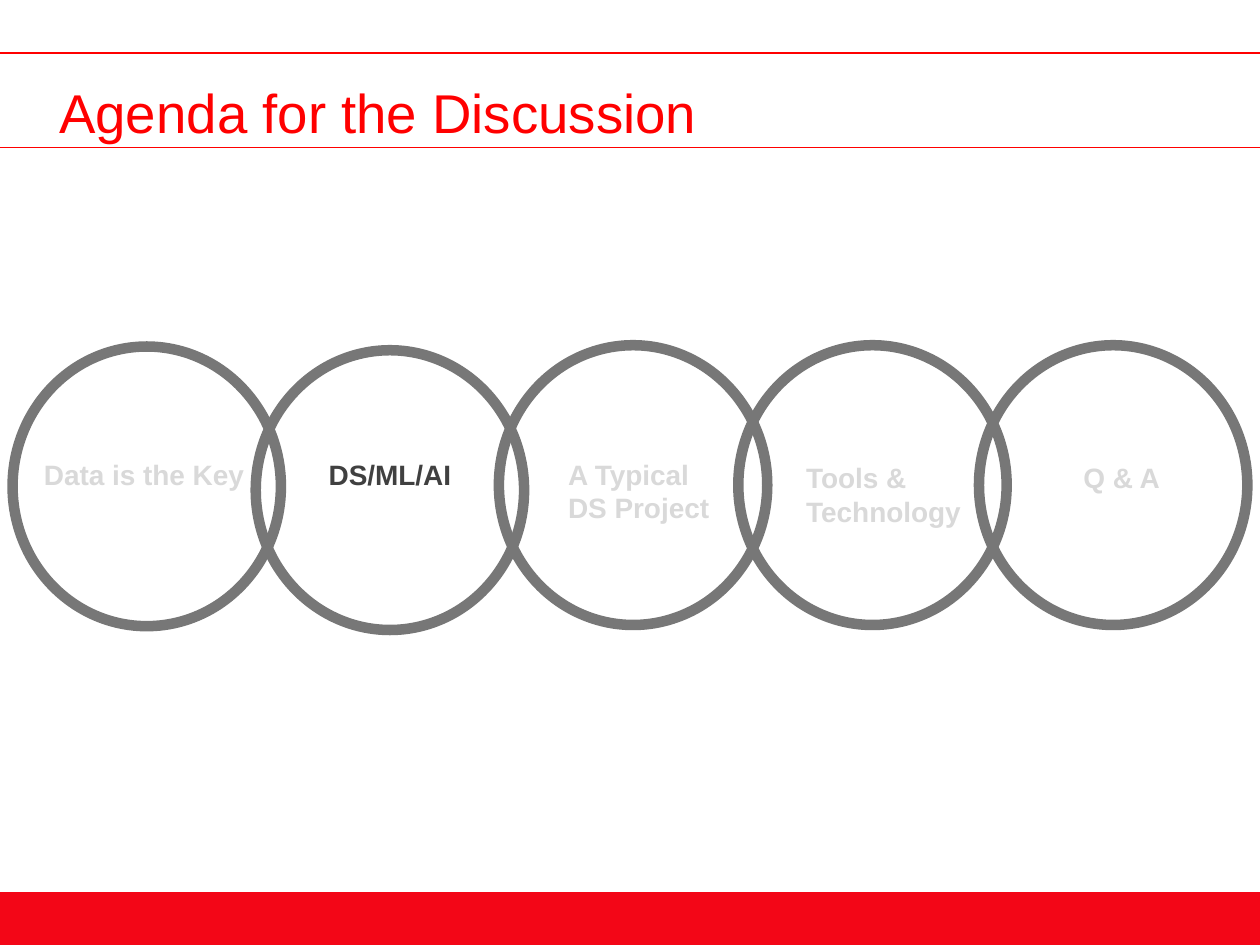
from lxml import etree
from pptx import Presentation
from pptx.dml.color import RGBColor
from pptx.enum import shapes, text
from pptx.oxml import ns
from pptx.util import Inches, Pt

COLUMNS, ROWS = 100, 75
RED, BAND_RED, RING_GREY = "FF0000", "F30617", "777777"
MUTED, ACTIVE = "D9D9D9", "404040"


def colour(value):
    return RGBColor.from_string(value)


class AgendaSlide:
    font = "Arial"

    def __init__(self, deck):
        self.slide = deck.slides.add_slide(deck.slide_layouts[6])
        self.column = deck.slide_width / COLUMNS
        self.row = deck.slide_height / ROWS

    def place(self, x, y, w, h):
        return (round(x * self.column), round(y * self.row),
                round(w * self.column), round(h * self.row))

    def band(self, *area):
        band = self.slide.shapes.add_shape(
            shapes.MSO_SHAPE.RECTANGLE, *self.place(*area))
        band.shadow.inherit = False
        band.fill.solid()
        band.fill.fore_color.rgb = colour(BAND_RED)
        band.line.fill.background()

    def ring(self, *area):
        ring = self.slide.shapes.add_shape(
            shapes.MSO_SHAPE.OVAL, *self.place(*area))
        ring.shadow.inherit = False
        ring.fill.background()
        ring.line.color.rgb = colour(RING_GREY)
        ring.line.width = Pt(6)

    def rule(self, y):
        left, top, width, _ = self.place(0, y, COLUMNS, 0)
        rule = self.slide.shapes.add_connector(
            shapes.MSO_CONNECTOR.STRAIGHT, left, top, left + width, top)
        rule.line.color.rgb = colour(RED)
        rule.line.width = Pt(1)
        etree.SubElement(rule._element.spPr, ns.qn("a:effectLst"))

    def words(self, area, lines, size, hue, bold=False, **frame_format):
        frame = self.slide.shapes.add_textbox(*self.place(*area)).text_frame
        for key, value in {"word_wrap": True, **frame_format}.items():
            setattr(frame, key, value)
        frame.text = lines
        for paragraph in frame.paragraphs:
            style = {"name": self.font, "size": Pt(size), "bold": bold}
            for run in paragraph.runs:
                for key, value in style.items():
                    setattr(run.font, key, value)
                run.font.color.rgb = colour(hue)


def main():
    deck = Presentation()
    deck.slide_width, deck.slide_height = Inches(10), Inches(7.5)
    agenda = AgendaSlide(deck)

    agenda.band(0, 70.8, COLUMNS, 4.2)
    agenda.words((4.7, 5.8, 90, 5), "Agenda for the Discussion", 31.2, RED,
                 margin_left=0, margin_top=Inches(0.05), margin_bottom=0)
    for y in (11.7, 4.2):
        agenda.rule(y)

    topics = [
        (1, 27.5, 2.5, 35.8, "Data is the Key", MUTED),
        (20.3, 27.8, 25.1, 35.8, "DS/ML/AI", ACTIVE),
        (39.6, 27.4, 44.1, 35.8, "A Typical\nDS Project", MUTED),
        (58.6, 27.4, 63, 36.1, "Tools &\nTechnology", MUTED),
        (77.7, 27.4, 85, 36.1, "Q & A", MUTED),
    ]
    for ring_x, ring_y, *_ in topics:
        agenda.ring(ring_x, ring_y, 21.3, 22.2)
    for _, _, label_x, label_y, label, hue in topics:
        height = 3.7 + 2.7 * label.count("\n")
        agenda.words((label_x, label_y, 23.9, height), label, 16, hue, True,
                     auto_size=text.MSO_AUTO_SIZE.SHAPE_TO_FIT_TEXT)

    deck.save("out.pptx")


if __name__ == "__main__":
    main()
